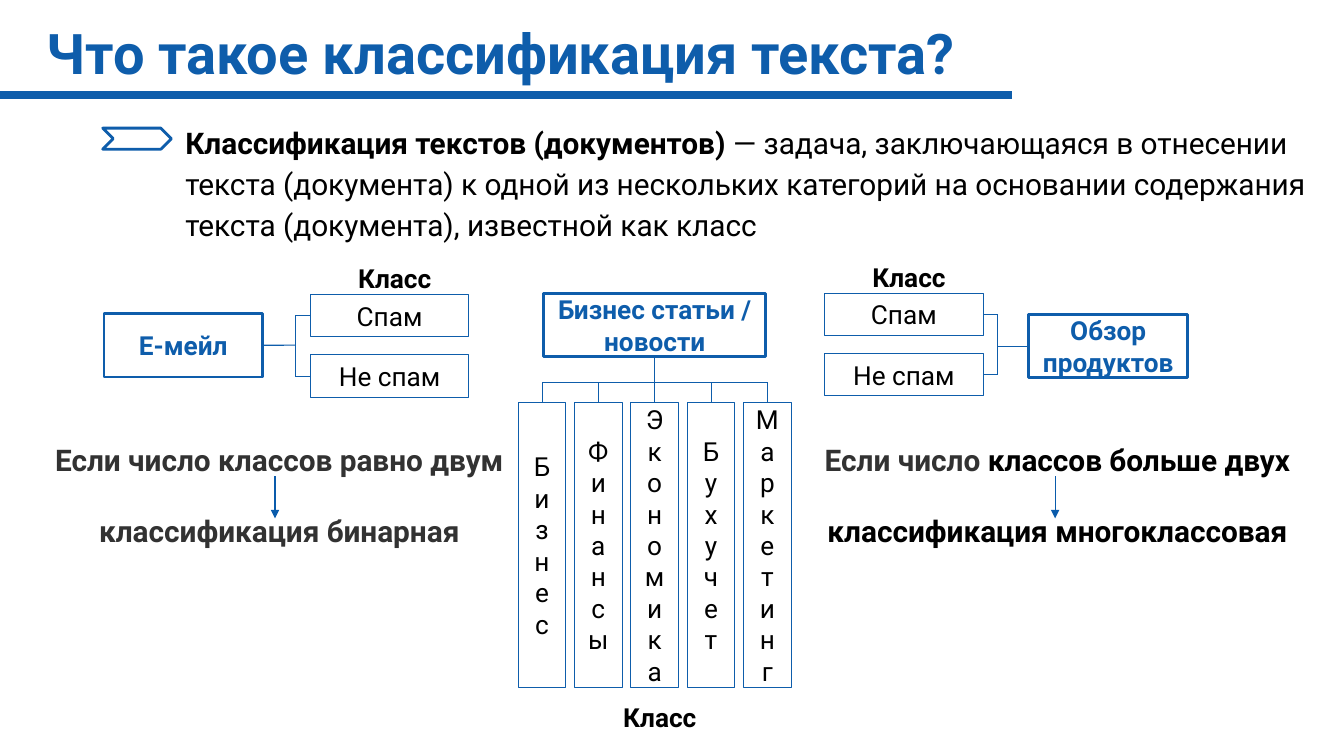
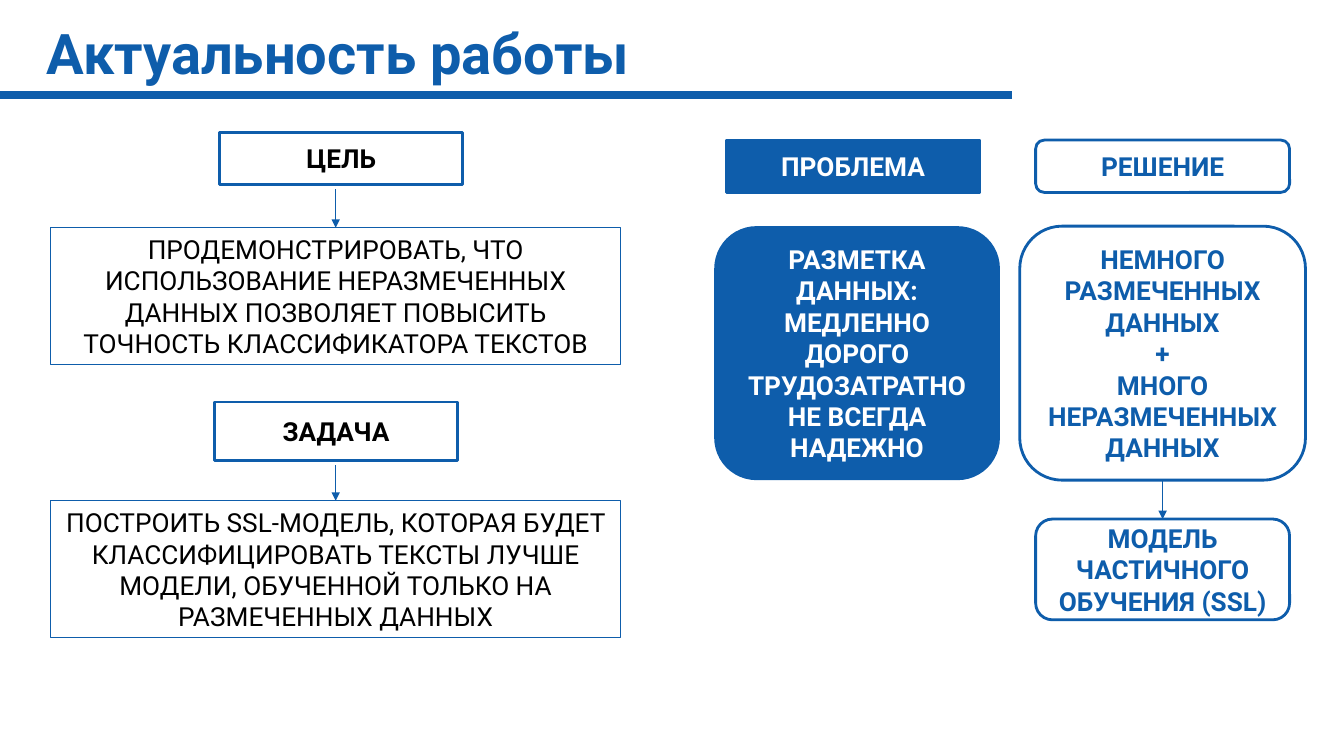
from dataclasses import dataclass

from lxml import etree
from pptx import Presentation
from pptx.dml.color import RGBColor
from pptx.enum.shapes import MSO_CONNECTOR, MSO_SHAPE
from pptx.enum.text import MSO_ANCHOR, PP_ALIGN
from pptx.oxml.ns import qn
from pptx.shapes.autoshape import Shape
from pptx.shapes.connector import Connector
from pptx.slide import Slide
from pptx.util import Cm, Pt

BLUE = RGBColor(0x0E, 0x5D, 0xAB)
DEEP_BLUE = RGBColor(0x0A, 0x5B, 0xAB)
BLACK = RGBColor(0x00, 0x00, 0x00)
GREY = RGBColor(0x32, 0x32, 0x32)
WHITE = RGBColor(0xFF, 0xFF, 0xFF)

RECTANGLE = MSO_SHAPE.RECTANGLE
ROUNDED = MSO_SHAPE.ROUNDED_RECTANGLE
CHEVRON = MSO_SHAPE.CHEVRON
STRAIGHT = MSO_CONNECTOR.STRAIGHT
LEFT, CENTER = PP_ALIGN.LEFT, PP_ALIGN.CENTER
TOP, MIDDLE = MSO_ANCHOR.TOP, MSO_ANCHOR.MIDDLE

TOP_SIDE, LEFT_SIDE, BOTTOM_SIDE, RIGHT_SIDE = range(4)
FONT = "Roboto"
LABEL_SIZE = 18.7
BODY_SIZE = 21.3
THIN, ARROW, THICK = 0.75, 1, 2


@dataclass(frozen=True)
class Span:
    text: str
    bold: bool = True
    color: RGBColor = BLACK


@dataclass(frozen=True)
class Box:
    lines: tuple[str, ...]
    left: float
    top: float
    width: float
    height: float
    color: RGBColor = BLUE
    bold: bool = True
    border: float = THICK
    fill: RGBColor | None = None
    kind: MSO_SHAPE = RECTANGLE


@dataclass(frozen=True)
class Point:
    x: float
    y: float


@dataclass(frozen=True)
class Joint:
    shape: Shape
    side: int

    def point(self) -> Point:
        shape = self.shape
        x = shape.left + {LEFT_SIDE: 0, RIGHT_SIDE: shape.width}.get(self.side, shape.width / 2)
        y = shape.top + {TOP_SIDE: 0, BOTTOM_SIDE: shape.height}.get(self.side, shape.height / 2)
        return Point(x / Cm(1), y / Cm(1))


def write(shape: Shape, paragraphs: list[list[Span]], *, size: float = LABEL_SIZE,
          align: PP_ALIGN = CENTER, anchor: MSO_ANCHOR = MIDDLE, spacing: float = 1.0,
          gap: float = 0, inset: tuple[float, float] = (0.25, 0.13)) -> None:
    frame = shape.text_frame
    frame.word_wrap = True
    frame.vertical_anchor = anchor
    frame.margin_left = frame.margin_right = Cm(inset[0])
    frame.margin_top = frame.margin_bottom = Cm(inset[1])
    for index, spans in enumerate(paragraphs):
        para = frame.add_paragraph() if index else frame.paragraphs[0]
        para.alignment = align
        para.line_spacing = spacing
        if index and gap:
            para.space_before = Pt(gap)
        for span in spans:
            run = para.add_run()
            run.text = span.text
            run.font.name = FONT
            run.font.size = Pt(size)
            run.font.bold = span.bold
            run.font.color.rgb = span.color


def add_text(page: Slide, paragraphs: list[list[Span]], left: float, top: float,
             width: float, height: float, **style) -> None:
    area = page.shapes.add_textbox(Cm(left), Cm(top), Cm(width), Cm(height))
    write(area, paragraphs, **style)


def add_box(page: Slide, box: Box) -> Shape:
    shape = page.shapes.add_shape(box.kind, Cm(box.left), Cm(box.top), Cm(box.width), Cm(box.height))
    shape.shadow.inherit = False
    if box.fill is None:
        shape.fill.background()
    else:
        shape.fill.solid()
        shape.fill.fore_color.rgb = box.fill
    if box.border:
        shape.line.color.rgb = BLUE
        shape.line.width = Pt(box.border)
    else:
        shape.line.fill.background()
    write(shape, [[Span(line, box.bold, box.color)] for line in box.lines])
    return shape


def add_line(page: Slide, start: Point | Joint, end: Point | Joint, *, width: float = THIN,
             color: RGBColor = BLUE, arrow: bool = False) -> Connector:
    first = start.point() if isinstance(start, Joint) else start
    last = end.point() if isinstance(end, Joint) else end
    line = page.shapes.add_connector(STRAIGHT, Cm(first.x), Cm(first.y), Cm(last.x), Cm(last.y))
    if isinstance(start, Joint):
        line.begin_connect(start.shape, start.side)
    if isinstance(end, Joint):
        line.end_connect(end.shape, end.side)
    line.line.color.rgb = color
    line.line.width = Pt(width)
    if arrow:
        etree.SubElement(line.line._get_or_add_ln(), qn("a:tailEnd"), type="triangle")
    etree.SubElement(line._element.spPr, qn("a:effectLst"))
    return line


def add_tree(page: Slide, root: Joint, leaves: list[Joint], spine: float) -> None:
    sideways = root.side in (LEFT_SIDE, RIGHT_SIDE)

    def on_spine(joint: Joint) -> Point:
        point = joint.point()
        return Point(spine, point.y) if sideways else Point(point.x, spine)

    add_line(page, root, on_spine(root))
    add_line(page, on_spine(leaves[0]), on_spine(leaves[-1]))
    for leaf in leaves:
        add_line(page, on_spine(leaf), leaf)


def add_page(deck: Presentation, title: str) -> Slide:
    page = deck.slides.add_slide(deck.slide_layouts[6])
    add_line(page, Point(0, 2.39), Point(25.5, 2.39), width=6)
    add_text(page, [[Span(title, color=BLUE)]], 0.85, 0.28, 32.4, 2,
             size=40, align=LEFT, anchor=TOP, inset=(0.33, 0.18))
    return page


def add_class_label(page: Slide, left: float, top: float) -> None:
    add_text(page, [[Span("Класс")]], left, top, 4, 1.07)


def add_spam_group(page: Slide, root_text: str, root_left: float, root_top: float,
                   class_left: float, class_top: float, spine: float) -> None:
    root = add_box(page, Box((root_text,), root_left, root_top, 4, 1.6))
    classes = [
        add_box(page, Box((name,), class_left, class_top + 1.52 * index, 4, 1.07, BLACK, False, THIN))
        for index, name in enumerate(("Спам", "Не спам"))
    ]
    root_side, class_side = (RIGHT_SIDE, LEFT_SIDE) if root_left < class_left else (LEFT_SIDE, RIGHT_SIDE)
    add_tree(page, Joint(root, root_side), [Joint(shape, class_side) for shape in classes], spine)
    add_class_label(page, class_left + 0.13, class_top - 0.94)


def add_conclusion(page: Slide, condition: list[Span], result: Span, left: float, arrow_x: float) -> None:
    add_text(page, [condition, [result]], left, 11, 12.5, 2.9, size=BODY_SIZE, anchor=TOP, gap=25)
    add_line(page, Point(arrow_x, 12), Point(arrow_x, 13.06), color=DEEP_BLUE, arrow=True)


def build_definition(deck: Presentation) -> None:
    page = add_page(deck, "Что такое классификация текста?")
    add_box(page, Box((), 2.59, 3.23, 1.73, 0.53, fill=WHITE, kind=CHEVRON))
    add_text(page, [[
        Span("Классификация текстов (документов) "),
        Span("— задача, заключающаяся в отнесении текста (документа) к одной из нескольких "
             "категорий на основании содержания текста (документа), известной как класс", bold=False),
    ]], 4.34, 2.82, 28.93, 3.28, size=BODY_SIZE, align=LEFT, anchor=TOP, spacing=1.15, inset=(0.33, 0.18))

    add_spam_group(page, "Е-мейл", 2.62, 7.9, 7.82, 7.42, 7.44)
    add_spam_group(page, "Обзор продуктов", 25.93, 7.92, 20.78, 7.39, 25.15)

    articles = add_box(page, Box(("Бизнес статьи / новости",), 13.7, 7.39, 5.6, 1.6))
    topics = [
        add_box(page, Box(tuple(topic), 13.06 + 1.42 * index, 10.14, 1.2, 7.19, BLACK, False, THIN))
        for index, topic in enumerate(("Бизнес", "Финансы", "Экономика", "Бухучет", "Маркетинг"))
    ]
    add_tree(page, Joint(articles, BOTTOM_SIDE), [Joint(topic, TOP_SIDE) for topic in topics], 9.63)
    add_class_label(page, 14.63, 17.53)

    add_conclusion(page, [Span("Если число классов равно двум", color=GREY)],
                   Span("классификация бинарная", color=GREY), 0.79, 6.93)
    add_conclusion(page, [Span("Если число ", color=GREY), Span("классов больше двух")],
                   Span("классификация многоклассовая"), 20.4, 26.59)


def build_relevance(deck: Presentation) -> None:
    page = add_page(deck, "Актуальность работы")
    goals = (
        (Box(("ЦЕЛЬ",), 5.54, 3.33, 6.12, 1.32, BLACK), 5.74,
         "ПРОДЕМОНСТРИРОВАТЬ, ЧТО ИСПОЛЬЗОВАНИЕ НЕРАЗМЕЧЕННЫХ ДАННЫХ ПОЗВОЛЯЕТ "
         "ПОВЫСИТЬ ТОЧНОСТЬ КЛАССИФИКАТОРА ТЕКСТОВ"),
        (Box(("ЗАДАЧА",), 5.41, 10.13, 6.12, 1.47, BLACK), 12.62,
         "ПОСТРОИТЬ SSL-МОДЕЛЬ, КОТОРАЯ БУДЕТ КЛАССИФИЦИРОВАТЬ ТЕКСТЫ ЛУЧШЕ МОДЕЛИ, "
         "ОБУЧЕННОЙ ТОЛЬКО НА РАЗМЕЧЕННЫХ ДАННЫХ"),
    )
    for heading, top, text in goals:
        add_box(page, heading)
        details = Joint(add_box(page, Box((text,), 1.27, top, 14.38, 3.45, BLACK, False, THIN)), TOP_SIDE)
        start = Point(details.point().x, heading.top + heading.height + 0.12)
        add_line(page, start, details, width=ARROW, arrow=True)

    add_box(page, Box(("ПРОБЛЕМА",), 18.3, 3.53, 6.4, 1.32, WHITE, fill=BLUE))
    add_box(page, Box(("РАЗМЕТКА ДАННЫХ:", "МЕДЛЕННО", "ДОРОГО", "ТРУДОЗАТРАТНО", "НЕ ВСЕГДА НАДЕЖНО"),
                      18, 5.7, 7.2, 6.4, WHITE, border=0, fill=BLUE, kind=ROUNDED))
    add_box(page, Box(("РЕШЕНИЕ",), 26.1, 3.53, 6.4, 1.32, kind=ROUNDED))
    solution = add_box(page, Box(("НЕМНОГО РАЗМЕЧЕННЫХ ДАННЫХ", "+", "МНОГО НЕРАЗМЕЧЕННЫХ ДАННЫХ"),
                                 25.7, 5.7, 7.2, 6.4, kind=ROUNDED))
    model = add_box(page, Box(("МОДЕЛЬ ЧАСТИЧНОГО ОБУЧЕНИЯ (SSL)",), 26.1, 13.08, 6.4, 2.54, kind=ROUNDED))
    add_line(page, Joint(solution, BOTTOM_SIDE), Joint(model, TOP_SIDE), width=ARROW, arrow=True)


def main() -> None:
    deck = Presentation()
    deck.slide_width, deck.slide_height = Cm(33.87), Cm(19.05)
    build_definition(deck)
    build_relevance(deck)
    deck.save("out.pptx")


if __name__ == "__main__":
    main()
